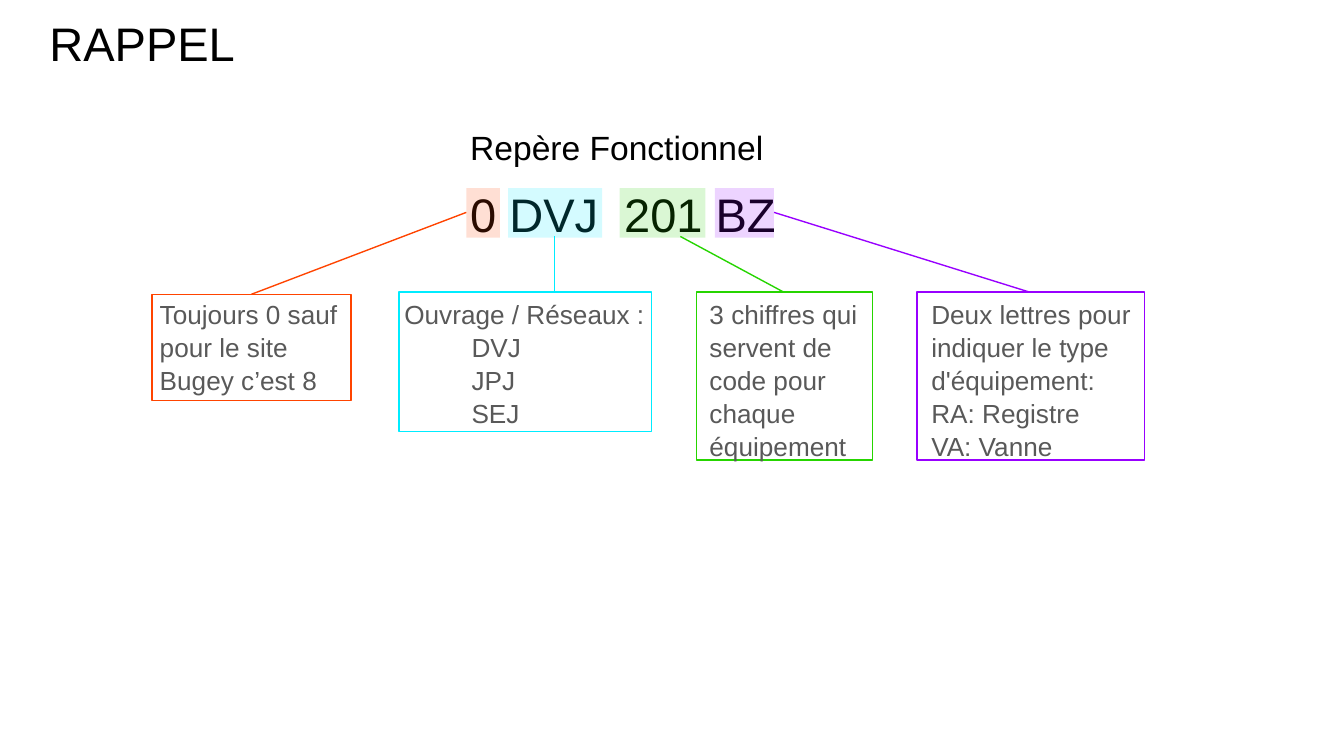
"""Build the slide that explains the parts of a functional mark."""
import pptx
import pptx.dml.color
import pptx.enum.shapes
import pptx.enum.text
import pptx.oxml
import pptx.oxml.ns
import pptx.util

Pt = pptx.util.Pt
RGB = pptx.dml.color.RGBColor
KINDS = pptx.enum.shapes
ANCHOR = pptx.enum.text.MSO_ANCHOR

BLACK = RGB(0x00, 0x00, 0x00)
GREY = RGB(0x59, 0x59, 0x59)
RED = RGB(0xFF, 0x44, 0x00)
CYAN = RGB(0x00, 0xEC, 0xFF)
GREEN = RGB(0x26, 0xD5, 0x00)
VIOLET = RGB(0x98, 0x00, 0xFF)

EDGE = 7.2
INSET = {"margin_left": Pt(EDGE), "margin_right": Pt(EDGE),
         "margin_top": Pt(EDGE), "margin_bottom": Pt(EDGE)}
TINT_TOP, TINT_HIGH = 100.8, 26.6
NOTE_TOP = 151.9

HEADS = [
    ("0 DVJ  201 BZ", (244.8, 91.4, 247.7, 45.4), 25.2, ANCHOR.BOTTOM),
    ("Repère Fonctionnel", (244.8, 59.8, 200.9, 35.3), 18, ANCHOR.TOP),
    ("RAPPEL", (19.4, 0, 671, 45.4), 25.2, ANCHOR.BOTTOM),
]

# Each part: colour, tint (left, width), frame, note (left, width, height), line ends, text
PARTS = [
    (RED, (249.8, 18), (81.4, 157.7, 106.6, 56.9), (78.5, 121.7, 35.3),
     (134.6, 157.7, 249.8, 113.8),
     ["Toujours 0 sauf pour le site Bugey c’est 8"]),
    (CYAN, (272.2, 50.4), (213.8, 156.5, 135.4, 74.9), (209.5, 185.8, 35.3),
     (297.2, 126.7, 297.2, 156.5),
     ["Ouvrage / Réseaux :", "\tDVJ", "\tJPJ", "\tSEJ"]),
    (GREEN, (331.9, 46.1), (373, 156.5, 94.3, 90), (373, 105.1, 53.3),
     (364.5, 126.7, 419.8, 156.5),
     ["3 chiffres qui servent de code pour chaque équipement"]),
    (VIOLET, (383, 31.7), (491.3, 156.5, 121.7, 90), (491.8, 121.7, 53.3),
     (414.7, 113.8, 551.5, 156.5),
     ["Deux lettres pour indiquer le type d'équipement:",
      "RA: Registre", "VA: Vanne"]),
]


def style(item, values):
    """Set each named attribute of an item."""
    for name, value in values.items():
        setattr(item, name, value)


def add_text(slide, area, lines, size, color, anchor=ANCHOR.TOP):
    """Add a text box; a leading tab marks an indented line."""
    frame = slide.shapes.add_textbox(*map(Pt, area)).text_frame
    style(frame, {**INSET, "word_wrap": True, "vertical_anchor": anchor})
    for num, line in enumerate(lines):
        para = frame.add_paragraph() if num else frame.paragraphs[0]
        para.line_spacing = 1.05
        if line.startswith("\t"):
            para._p.get_or_add_pPr().set("marL", str(Pt(36)))
        run = para.add_run()
        run.text = line.strip()
        style(run.font, {"name": "Arial", "size": Pt(size)})
        run.font.color.rgb = color


def add_rect(slide, area):
    """Add a plain rectangle without shadow."""
    rect = slide.shapes.add_shape(KINDS.MSO_SHAPE.RECTANGLE, *map(Pt, area))
    rect.shadow.inherit = False
    return rect


def add_frame(slide, area, color):
    """Add an outlined rectangle with no fill."""
    rect = add_rect(slide, area)
    rect.fill.background()
    rect.line.color.rgb = color
    rect.line.width = Pt(0.75)


def add_tint(slide, area, color):
    """Add a see-through rectangle with no outline."""
    rect = add_rect(slide, area)
    rect.line.fill.background()
    rect.fill.solid()
    rect.fill.fore_color.rgb = color
    tone = rect._element.spPr.find(".//" + pptx.oxml.ns.qn("a:srgbClr"))
    alpha = pptx.oxml.parse_xml(
        "<a:alpha %s val='17000'/>" % pptx.oxml.ns.nsdecls("a"))
    tone.append(alpha)


def add_link(slide, ends, color):
    """Add a straight line without shadow."""
    link = slide.shapes.add_connector(
        KINDS.MSO_CONNECTOR.STRAIGHT, *map(Pt, ends))
    style(link.line, {"width": Pt(0.75)})
    link.line.color.rgb = color
    link._element.spPr.append(pptx.oxml.parse_xml(
        "<a:effectLst %s/>" % pptx.oxml.ns.nsdecls("a")))


def main():
    """Build and save the slide."""
    deck = pptx.Presentation()
    style(deck, {"slide_width": Pt(720), "slide_height": Pt(405)})
    slide = deck.slides.add_slide(deck.slide_layouts[6])
    for text, area, size, anchor in HEADS:
        add_text(slide, area, [text], size, BLACK, anchor)
    for color, (left, width), frame, note, ends, lines in PARTS:
        add_frame(slide, frame, color)
        add_tint(slide, (left, TINT_TOP, width, TINT_HIGH), color)
        add_text(slide, (note[0], NOTE_TOP, *note[1:]), lines, 14, GREY)
        add_link(slide, ends, color)
    deck.save("out.pptx")


if __name__ == "__main__":
    main()
